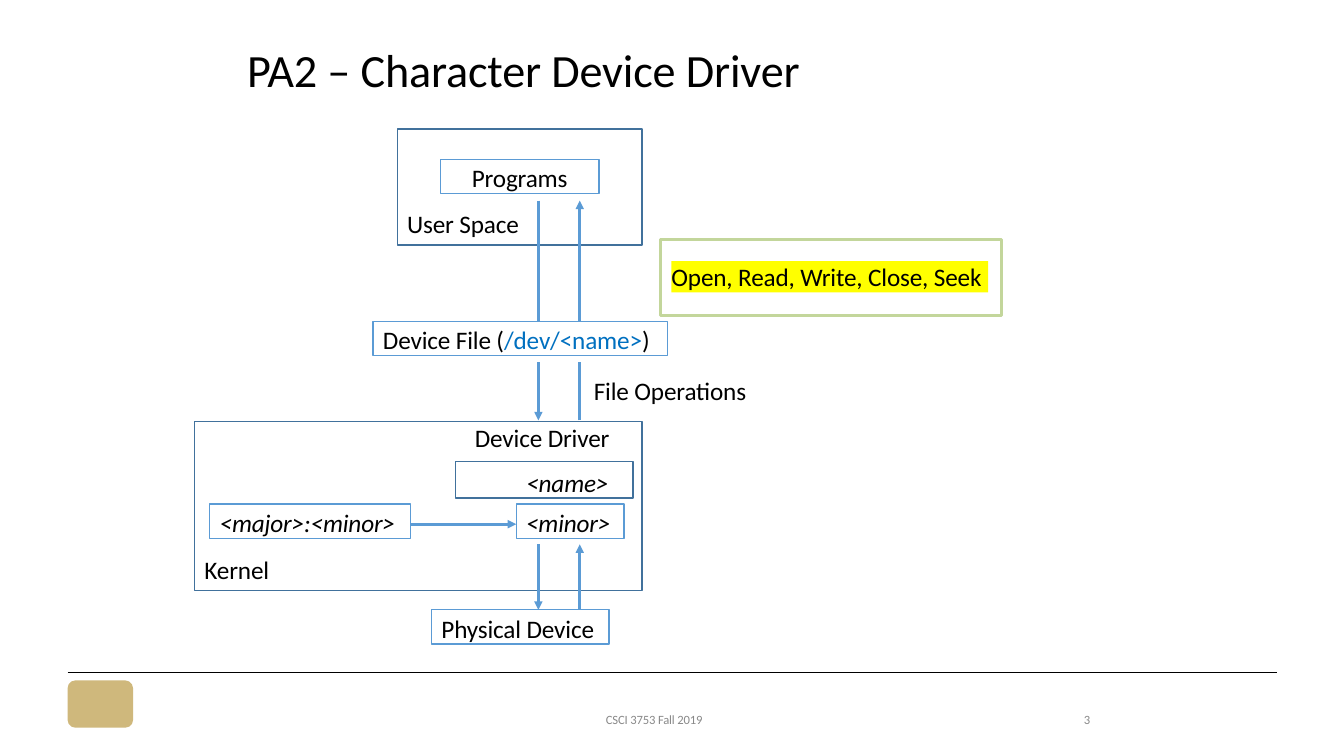
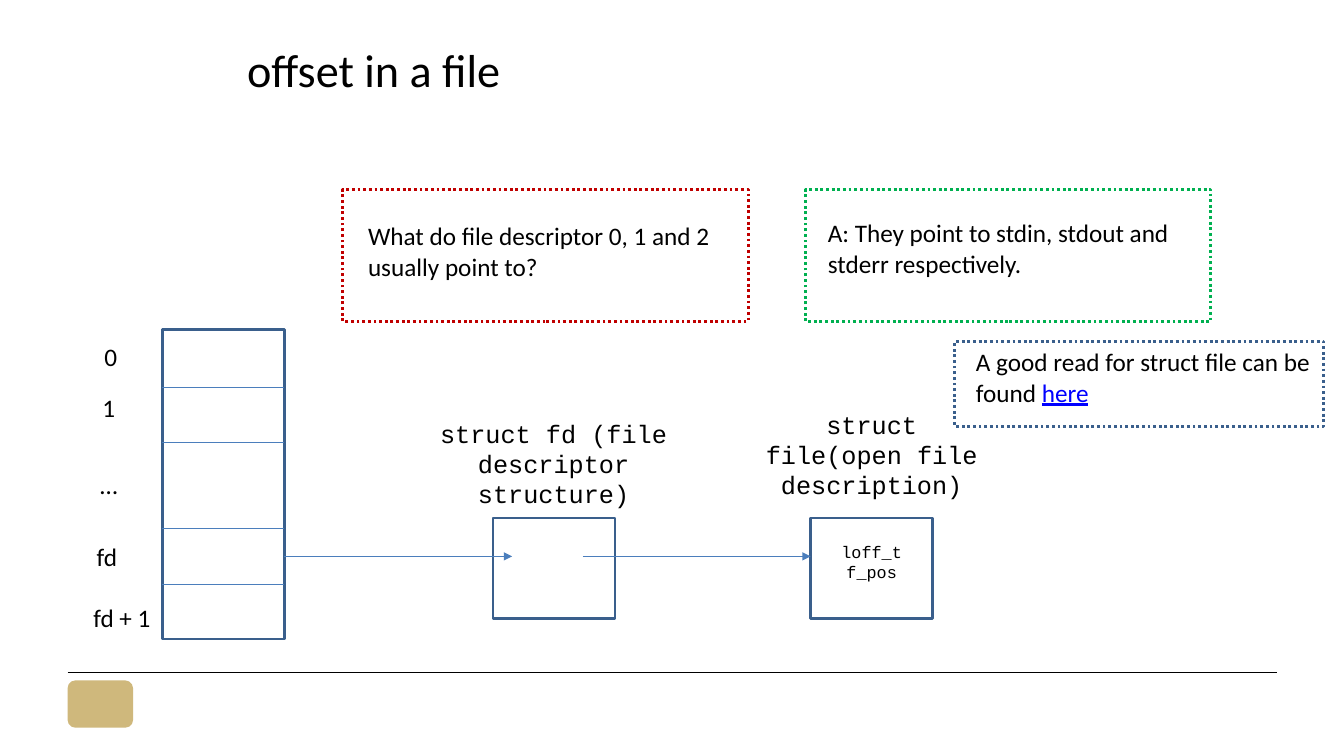
from itertools import accumulate
from lxml.etree import SubElement
from pptx import Presentation
from pptx.dml.color import RGBColor as RGB
from pptx.enum.dml import MSO_LINE
from pptx.enum.shapes import MSO_CONNECTOR, MSO_SHAPE
from pptx.enum.text import MSO_ANCHOR as ANCHOR, PP_ALIGN as ALIGN
from pptx.oxml.ns import qn
from pptx.util import Inches, Pt

HEX = dict(black="000000", white="FFFFFF", sky="5B9BD5", steel="41719C",
           path="0070C0", yellow="FFFF00", lime="C3D69B", gray="898989",
           navy="3A5F8C", wire="4B7EBC", red="C00000", green="00B050",
           link="0000FF", gold="CFB87C")
MONO = "Courier New"

# Slide 1: text, (left, top, width, height), then insets and format
FRAMES = [
    ("User Space", (3.94, 1.28, 2.43, 1.15)),
    ("Kernel", (1.93, 4.18, 4.44, 1.68)),
]
NODES = [
    ("Programs", (4.37, 1.58, 1.57, 0.34), (0.31, 0.03), "sky", {}),
    ("Physical Device", (4.28, 6.05, 1.76, 0.34), (0.1, 0.03), "sky", {}),
    ([("Device File (", {}), ("/dev/<name>", {"color": "path"}), (")", {})],
     (3.7, 3.19, 2.92, 0.34), (0.1, 0.03), "sky", {}),
    ("<major>:<minor>", (2.08, 5, 1.99, 0.34), (0.1, 0.03), "sky",
     {"italic": True}),
    ("<minor>", (5.12, 5, 1.07, 0.34), (0.1, 0.03), "sky", {"italic": True}),
    ("<name>", (4.52, 4.58, 1.76, 0.36), (0.7, 0.06), "steel",
     {"italic": True}),
]
LABELS = [
    ("File Operations", (5.88, 3.71, 1.56, 0.33), {}),
    ("Device Driver", (4.7, 4.18, 1.39, 0.33), {}),
    ("CSCI 3753 Fall 2019", (6, 7.05, 1.34, 0.15), {"size": 9, "color": "gray"}),
    ("3", (10.74, 7.05, 0.18, 0.16), {"size": 9, "color": "gray"}),
]
DOWN, UP = 5.34, 5.75
FLOWS = [(1.99, 4.17), (5.4, 6.05)]

# Slide 2
ROWS = [0.57, 0.55, 0.85, 0.56, 0.54]
SLOTS = [("0", 1.1, 3.34), ("1", 1.08, 3.84), ("…", 1.08, 4.61),
         ("fd", 1.06, 5.32), ("fd + 1", 1.21, 5.93)]
STRUCTS = [
    ("struct fd (file descriptor structure)", (4.05, 4.1, 2.88, 1.01), 4.89, ""),
    ("struct file(open file description)", (7.42, 4.01, 2.45, 1.01), 8.04,
     "loff_t f_pos"),
]
NOTES = [
    ("What do file descriptor 0, 1 and 2 usually point to?",
     (3.4, 1.88, 4.02, 1.31), (0.25, 0.31, 0.07, 0), "red"),
    ("A: They point to stdin, stdout and stderr respectively.",
     (7.99, 1.88, 4.02, 1.31), (0.22, 0.28, 0.1, 0), "green"),
    ([("A good read for struct file can be found ", {}),
      ("here", {"color": "link", "underline": True})],
     (9.47, 3.39, 3.66, 0.84), (0.21, 0.05, 0.1, 0), "navy"),
]


def rgb(name):
    return RGB.from_string(HEX[name])


def write(frame, text, pad=(0, 0, 0, 0), align=ALIGN.LEFT, anchor=ANCHOR.TOP,
          space=0, **form):
    """Fill a text frame with one paragraph of formatted runs."""
    frame.word_wrap, frame.vertical_anchor = True, anchor
    for side, gap in zip(("left", "top", "right", "bottom"), pad):
        setattr(frame, "margin_" + side, Inches(gap))
    par = frame.paragraphs[0]
    par.alignment = align
    for part, extra in [(text, {})] if isinstance(text, str) else text:
        run = par.add_run()
        run.text = part
        look = {"name": "Calibri", "size": 18, "color": "black", **form, **extra}
        run.font.color.rgb = rgb(look.pop("color"))
        look["size"] = Pt(look["size"])
        for key, val in look.items():
            setattr(run.font, key, val)
        if space:
            run._r.get_or_add_rPr().set("spc", str(space))


def box(slide, at, fill=None, line=None, width=1, dash=None,
        kind=MSO_SHAPE.RECTANGLE):
    shape = slide.shapes.add_shape(kind, *map(Inches, at))
    shape.shadow.inherit = False
    if fill:
        shape.fill.solid()
        shape.fill.fore_color.rgb = rgb(fill)
    else:
        shape.fill.background()
    if line:
        shape.line.color.rgb = rgb(line)
        shape.line.width = Pt(width)
        if dash:
            shape.line.dash_style = dash
    else:
        shape.line.fill.background()
    return shape


def label(slide, text, at, **form):
    write(slide.shapes.add_textbox(*map(Inches, at)).text_frame, text, **form)


def link(slide, start, end, color, width, arrow=False):
    line = slide.shapes.add_connector(
        MSO_CONNECTOR.STRAIGHT, *map(Inches, (*start, *end)))
    line.line.color.rgb = rgb(color)
    line.line.width = Pt(width)
    if arrow:
        SubElement(line.line._get_or_add_ln(), qn("a:tailEnd"), type="triangle")
    SubElement(line._element.spPr, qn("a:effectLst"))
    return line


def start(deck, title, space=0):
    slide = deck.slides.add_slide(deck.slide_layouts[5])
    write(slide.shapes.title.text_frame, title, (0.01, 0.02, 0, 0),
          size=33, space=space)
    return slide


def dress(deck, slide):
    """Move the shared title place, rule and emblem to the layout."""
    layout = deck.slide_layouts[5]
    head = layout.placeholders[0]
    spot = dict(left=2.44, top=0.39, width=6.5, height=0.58)
    for key, val in spot.items():
        setattr(head, key, Inches(val))
    rule = link(slide, (0.67, 6.67), (12.67, 6.67), "black", 1)
    mark = box(slide, (0.67, 6.75, 0.65, 0.47), "gold",
               kind=MSO_SHAPE.ROUNDED_RECTANGLE)
    for part in (rule, mark):
        layout.shapes.element.append(part.element)


def driver(slide):
    tight = -10
    for text, at in FRAMES:
        write(box(slide, at, line="steel").text_frame, text,
              (0.1, 0, 0, 0.06), anchor=ANCHOR.BOTTOM, space=tight)
    # Paired arrows, down and up
    for top, end in FLOWS:
        link(slide, (DOWN, top), (DOWN, end), "sky", 2, True)
        link(slide, (UP, end), (UP, top), "sky", 2, True)
    link(slide, (4.07, 5.2), (5.12, 5.2), "sky", 2, True)
    # Boxes; a white patch breaks the arrows behind the device file
    box(slide, (3.7, 3.19, 2.92, 0.4), "white")
    for text, at, inset, line, form in NODES:
        write(box(slide, at, line=line).text_frame, text,
              (*inset, 0, 0), space=tight, **form)
    # Calls
    write(box(slide, (6.66, 2.59, 3.14, 0.31), "yellow").text_frame,
          "Open, Read, Write, Close, Seek", space=tight)
    box(slide, (6.55, 2.38, 3.38, 0.75), line="lime", width=2.25)
    for text, at, form in LABELS:
        label(slide, text, at, pad=(0.01, 0.01, 0, 0), space=tight, **form)


def offset(slide):
    # Descriptor table
    left, top, wide = 1.61, 3.27, 1.21
    box(slide, (left, top, wide, sum(ROWS)), line="navy", width=2)
    for y in list(accumulate(ROWS, initial=top))[1:-1]:
        link(slide, (left, y), (left + wide, y), "wire", 0.75)
    for text, mid, y in SLOTS:
        label(slide, text, (mid - 0.47, y, 0.94, 0.4),
              pad=(0.1, 0.05, 0.1, 0.05), align=ALIGN.CENTER)
    # Structures and pointers
    for text, at, x, field in STRUCTS:
        cell = box(slide, (x, 5.14, wide, 1), line="navy", width=2)
        if field:
            write(cell.text_frame, field, (0.1, 0.23, 0.1, 0),
                  ALIGN.CENTER, name=MONO, size=12)
        label(slide, text, at, pad=(0.1, 0.05, 0.1, 0.05),
              align=ALIGN.CENTER, name=MONO)
    for x in (left + wide, 5.78):
        link(slide, (x, 5.52), (x + 2.26, 5.52), "wire", 0.75, True)
    # Dotted notes
    for text, at, pad, color in NOTES:
        note = box(slide, at, line=color, width=2, dash=MSO_LINE.ROUND_DOT)
        write(note.text_frame, text, pad)


def main():
    deck = Presentation()
    deck.slide_width, deck.slide_height = Inches(13.33), Inches(7.5)
    first = start(deck, "PA2 – Character Device Driver", -10)
    dress(deck, first)
    driver(first)
    offset(start(deck, "offset in a file"))
    deck.save("out.pptx")


if __name__ == "__main__":
    main()
